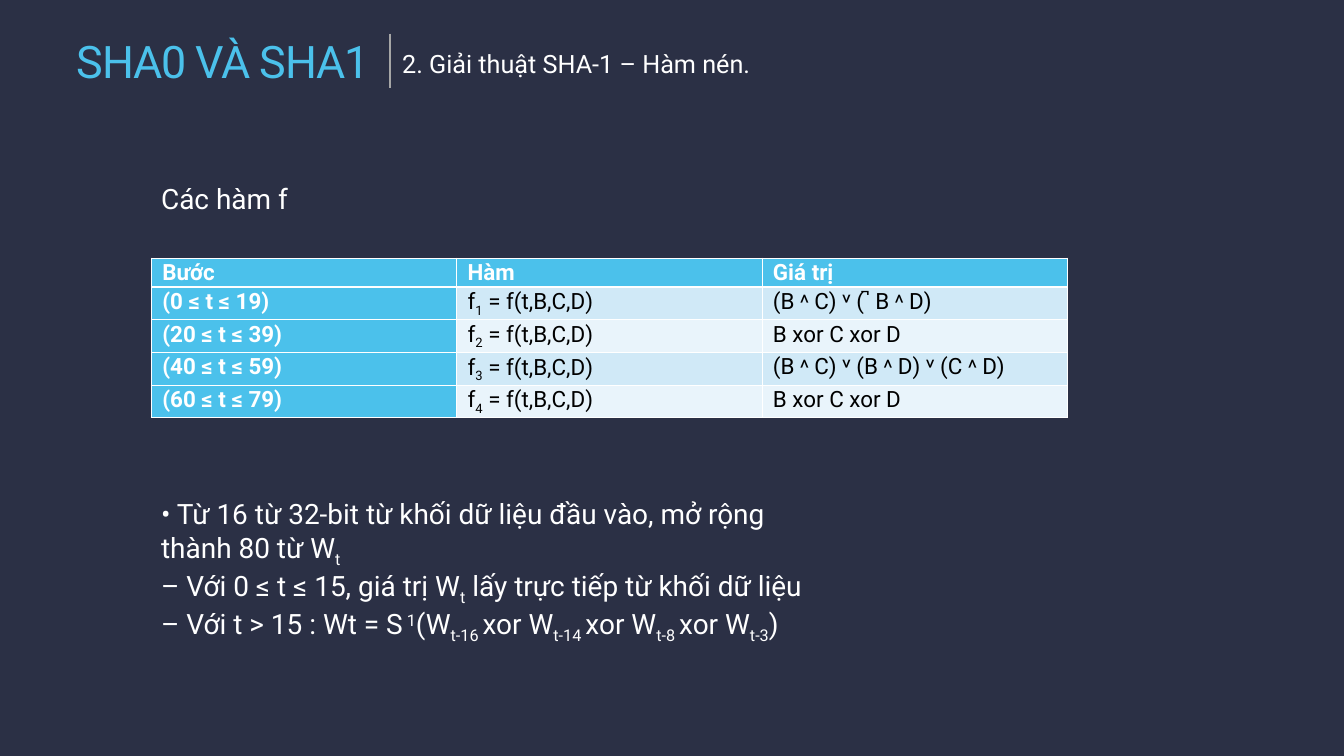
from dataclasses import dataclass

import pptx
import pptx.dml.color
import pptx.enum.shapes
import pptx.enum.text
import pptx.oxml
import pptx.oxml.ns
import pptx.util
from lxml import etree
from pptx.util import Cm


@dataclass(frozen=True)
class Theme:
    font: str = "Roboto"
    background: str = "2B3045"
    accent: str = "4BC1EB"
    light: str = "FFFFFF"
    dark: str = "000000"
    divider: str = "A6A6A6"
    bands: tuple = ("D0E9F7", "E9F4FB")
    title_size: int = 64
    subtitle_size: int = 36
    body_size: int = 40
    table_size: int = 32


@dataclass(frozen=True)
class Box:
    left: float
    top: float
    width: float
    height: float

    def inner(self, left, top, width, height):
        return Box(self.left + left, self.top + top, width, height)

    def lengths(self):
        return Cm(self.left), Cm(self.top), Cm(self.width), Cm(self.height)


THEME = Theme()
SUBSCRIPT = -25
SUPERSCRIPT = 30

TABLE_HEADINGS = ("Bước", "Hàm", "Giá trị")
TABLE_ROWS = (
    ("(0 ≤ t ≤ 19)", "(B ˄ C) ˅ ( ̚ B ˄ D)"),
    ("(20 ≤ t ≤ 39)", "B xor C xor D"),
    ("(40 ≤ t ≤ 59)", "(B ˄ C) ˅ (B ˄ D) ˅ (C ˄ D)"),
    ("(60 ≤ t ≤ 79)", "B xor C xor D"),
)
EXPANSION_NOTES = (
    (("• Từ 16 từ 32-bit từ khối dữ liệu đầu vào, mở rộng thành 80 từ W", 0),
     ("t", SUBSCRIPT)),
    (("– Với 0 ≤ t ≤ 15, giá trị W", 0), ("t", SUBSCRIPT),
     (" lấy trực tiếp từ khối dữ liệu", 0)),
    (("– Với t > 15 : Wt = S", 0), (" 1", SUPERSCRIPT),
     ("(W", 0), ("t-16 ", SUBSCRIPT), ("xor W", 0), ("t-14 ", SUBSCRIPT),
     ("xor W", 0), ("t-8 ", SUBSCRIPT), ("xor W", 0), ("t-3", SUBSCRIPT),
     (")", 0)),
)


def rgb(value):
    return pptx.dml.color.RGBColor.from_string(value)


def write_paragraph(paragraph, pieces, size, color, bold=False):
    paragraph.alignment = pptx.enum.text.PP_ALIGN.LEFT
    for text, baseline in pieces:
        run = paragraph.add_run()
        run.text = text
        run.font.name = THEME.font
        run.font.size = pptx.util.Pt(size)
        run.font.bold = bold
        run.font.color.rgb = rgb(color)
        if baseline:
            run.font._element.set("baseline", str(baseline * 1000))


def add_text(slide, box, paragraphs, size, anchor=pptx.enum.text.MSO_ANCHOR.TOP):
    text_frame = slide.shapes.add_textbox(*box.lengths()).text_frame
    text_frame.word_wrap = True
    text_frame.vertical_anchor = anchor
    for index, pieces in enumerate(paragraphs):
        paragraph = text_frame.add_paragraph() if index else text_frame.paragraphs[0]
        write_paragraph(paragraph, pieces, size, THEME.light)


def add_header(slide, box):
    middle = pptx.enum.text.MSO_ANCHOR.MIDDLE
    title = slide.shapes.title
    title.left, title.top, title.width, title.height = box.inner(
        0, 0, 15.6, box.height).lengths()
    text_frame = title.text_frame
    text_frame.margin_left = text_frame.margin_right = 0
    text_frame.margin_top = text_frame.margin_bottom = 0
    text_frame.word_wrap = True
    text_frame.auto_size = pptx.enum.text.MSO_AUTO_SIZE.NONE
    text_frame.vertical_anchor = middle
    write_paragraph(text_frame.paragraphs[0], [("SHA0 VÀ SHA1", 0)],
                    THEME.title_size, THEME.accent)
    text_frame.paragraphs[0].runs[0].font._element.set("spc", "-150")

    divider_left = Cm(box.left + 15.8)
    divider = slide.shapes.add_connector(
        pptx.enum.shapes.MSO_CONNECTOR.STRAIGHT,
        divider_left, Cm(box.top), divider_left, Cm(box.top + box.height))
    divider.line.color.rgb = rgb(THEME.divider)
    divider.line.width = pptx.util.Pt(2.25)
    etree.SubElement(divider._element.spPr, pptx.oxml.ns.qn("a:effectLst"))

    add_text(slide, box.inner(16.16, 0.6, 18.54, 1.8),
             [[("2. Giải thuật SHA-1 – Hàm nén.", 0)]], THEME.subtitle_size, middle)


def set_borders(cell, bottom_width):
    properties = cell._tc.get_or_add_tcPr()
    widths = {"lnL": 1, "lnR": 1, "lnT": 1, "lnB": bottom_width}
    for position, (side, width) in enumerate(widths.items()):
        border = pptx.oxml.parse_xml(
            f'<a:{side} {pptx.oxml.ns.nsdecls("a")} w="{pptx.util.Pt(width)}">'
            f'<a:solidFill><a:srgbClr val="{THEME.light}"/></a:solidFill></a:{side}>')
        properties.insert(position, border)


def fill_cell(cell, pieces, fill, emphasised, bottom_width=1):
    cell.margin_left = cell.margin_right = Cm(0.56)
    cell.margin_top = cell.margin_bottom = 0
    cell.fill.solid()
    cell.fill.fore_color.rgb = rgb(fill)
    set_borders(cell, bottom_width)
    paragraph = cell.text_frame.paragraphs[0]
    paragraph.line_spacing = 1.07
    write_paragraph(paragraph, pieces, THEME.table_size,
                    THEME.light if emphasised else THEME.dark, emphasised)


def add_function_table(slide, box):
    row_count, column_count = len(TABLE_ROWS) + 1, len(TABLE_HEADINGS)
    table = slide.shapes.add_table(row_count, column_count, *box.lengths()).table
    table.first_col = True
    for column in table.columns:
        column.width = Cm(box.width / column_count)
    for row in table.rows:
        row.height = Cm(box.height / row_count)
    for column, heading in enumerate(TABLE_HEADINGS):
        fill_cell(table.cell(0, column), [(heading, 0)], THEME.accent, True, 3)
    for row, (step, value) in enumerate(TABLE_ROWS, start=1):
        band = THEME.bands[(row - 1) % 2]
        function = [("f", 0), (str(row), SUBSCRIPT), (" = f(t,B,C,D)", 0)]
        fill_cell(table.cell(row, 0), [(step, 0)], THEME.accent, True)
        fill_cell(table.cell(row, 1), function, band, False)
        fill_cell(table.cell(row, 2), [(value, 0)], band, False)


def add_body(slide, box):
    add_text(slide, box.inner(0.25, 0, 52.55, 1.96), [[("Các hàm f", 0)]],
             THEME.body_size)
    add_function_table(slide, box.inner(0, 4, 46.17, 6.75))
    add_text(slide, box.inner(0.25, 15.9, 33.86, 7.09), EXPANSION_NOTES,
             THEME.body_size)


def main():
    presentation = pptx.Presentation()
    presentation.slide_width = Cm(67.74)
    presentation.slide_height = Cm(38.1)
    slide = presentation.slides.add_slide(presentation.slide_layouts[5])
    slide.background.fill.solid()
    slide.background.fill.fore_color.rgb = rgb(THEME.background)
    add_header(slide, Box(3.86, 1.7, 34.7, 2.72))
    add_body(slide, Box(7.62, 9, 52.8, 23))
    presentation.save("out.pptx")


if __name__ == "__main__":
    main()
